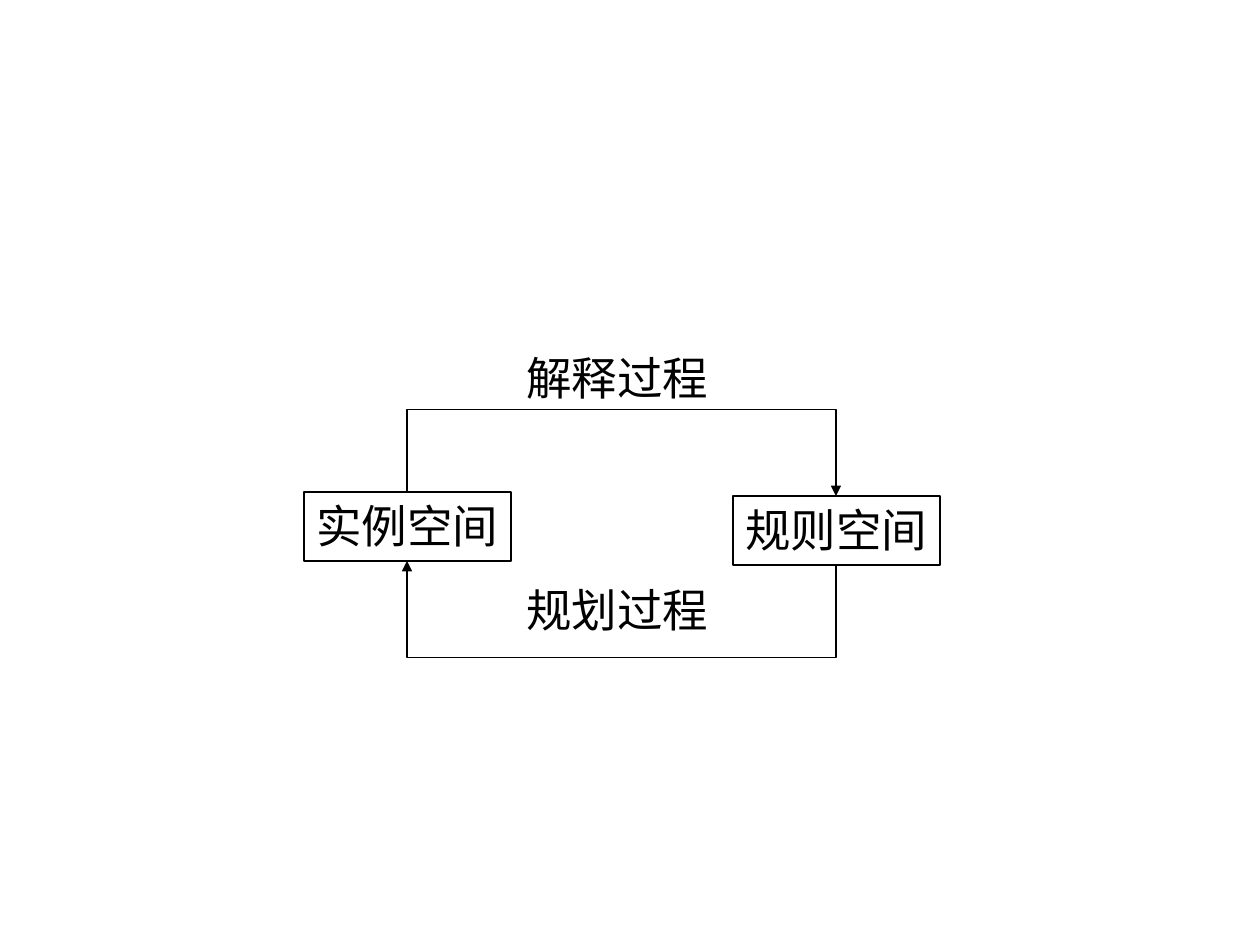
from dataclasses import dataclass

from lxml import etree
from pptx import Presentation
from pptx.dml.color import RGBColor
from pptx.enum.shapes import MSO_CONNECTOR, MSO_SHAPE
from pptx.enum.text import MSO_ANCHOR, MSO_AUTO_SIZE, PP_ALIGN
from pptx.oxml.ns import qn
from pptx.slide import Slide
from pptx.util import Emu, Pt

ELBOW = MSO_CONNECTOR.ELBOW
RECTANGLE = MSO_SHAPE.RECTANGLE
TOP = MSO_ANCHOR.TOP
LEFT = PP_ALIGN.LEFT
FIXED_SIZE = MSO_AUTO_SIZE.NONE

PX_PER_INCH = 126
BOX_WIDTH, BOX_HEIGHT = 207, 69
RIGHT_INSET = 4
BLACK = "000000"
FONT = "Arial"
TEXT_SIZE = 26
LINE_WIDTH = 0.75
THREE_QUARTER_TURN = 270 * 60000


@dataclass
class TextBox:
    text: str
    left: int
    top: int
    outlined: bool


@dataclass
class Route:
    start_x: int
    start_y: int
    end_x: int
    end_y: int
    turn_y: int
    flip: str


def px(length: float) -> Emu:
    return Emu(round(length * 914400 / PX_PER_INCH))


def color(value: str) -> RGBColor:
    return RGBColor.from_string(value)


def draw_text_box(page: Slide, item: TextBox) -> None:
    area = px(item.left), px(item.top), px(BOX_WIDTH), px(BOX_HEIGHT)
    if item.outlined:
        box = page.shapes.add_shape(RECTANGLE, *area)
        box.shadow.inherit = False
        box.fill.background()
        box.line.color.rgb = color(BLACK)
        box.line.width = Pt(LINE_WIDTH)
    else:
        box = page.shapes.add_textbox(*area)
    frame = box.text_frame
    frame.word_wrap = False
    frame.auto_size = FIXED_SIZE
    frame.vertical_anchor = TOP
    frame.margin_right = px(RIGHT_INSET)
    para = frame.paragraphs[0]
    para.alignment = LEFT
    span = para.add_run()
    span.text = item.text
    span.font.name = FONT
    span.font.size = Pt(TEXT_SIZE)
    span.font.color.rgb = color(BLACK)


def draw_route(page: Slide, route: Route) -> None:
    rise = abs(route.end_y - route.start_y)
    run = abs(route.end_x - route.start_x)
    center_x = (route.start_x + route.end_x) / 2
    center_y = (route.start_y + route.end_y) / 2
    left, top = center_x - rise / 2, center_y - run / 2
    arrow = page.shapes.add_connector(
        ELBOW, px(left), px(top), px(left + rise), px(top + run))
    arrow.line.color.rgb = color(BLACK)
    arrow.line.width = Pt(LINE_WIDTH)
    properties = arrow.element.spPr
    transform = properties.find(qn("a:xfrm"))
    transform.set("rot", str(THREE_QUARTER_TURN))
    transform.set(route.flip, "1")
    bend = -abs(route.turn_y - route.start_y) / rise
    adjustments = properties.find(qn("a:prstGeom")).find(qn("a:avLst"))
    etree.SubElement(adjustments, qn("a:gd"), name="adj1",
                     fmla=f"val {round(bend * 100000)}")
    outline = properties.find(qn("a:ln"))
    etree.SubElement(outline, qn("a:tailEnd"), type="triangle")
    etree.SubElement(properties, qn("a:effectLst"))


def main() -> None:
    deck = Presentation()
    deck.slide_width, deck.slide_height = px(1260), px(945)
    page = deck.slides.add_slide(deck.slide_layouts[6])
    instances = TextBox("实例空间", 304, 492, True)
    rules = TextBox("规则空间", 733, 496, True)
    left_x = instances.left + BOX_WIDTH // 2
    right_x = rules.left + BOX_WIDTH // 2
    for item in (
        instances,
        rules,
        TextBox("解释过程", 514, 344, False),
        TextBox("规划过程", 514, 576, False),
    ):
        draw_text_box(page, item)
    for route in (
        Route(left_x, instances.top, right_x, rules.top, 410, "flipH"),
        Route(right_x, rules.top + BOX_HEIGHT,
              left_x, instances.top + BOX_HEIGHT, 657, "flipV"),
    ):
        draw_route(page, route)
    deck.save("out.pptx")


if __name__ == "__main__":
    main()
